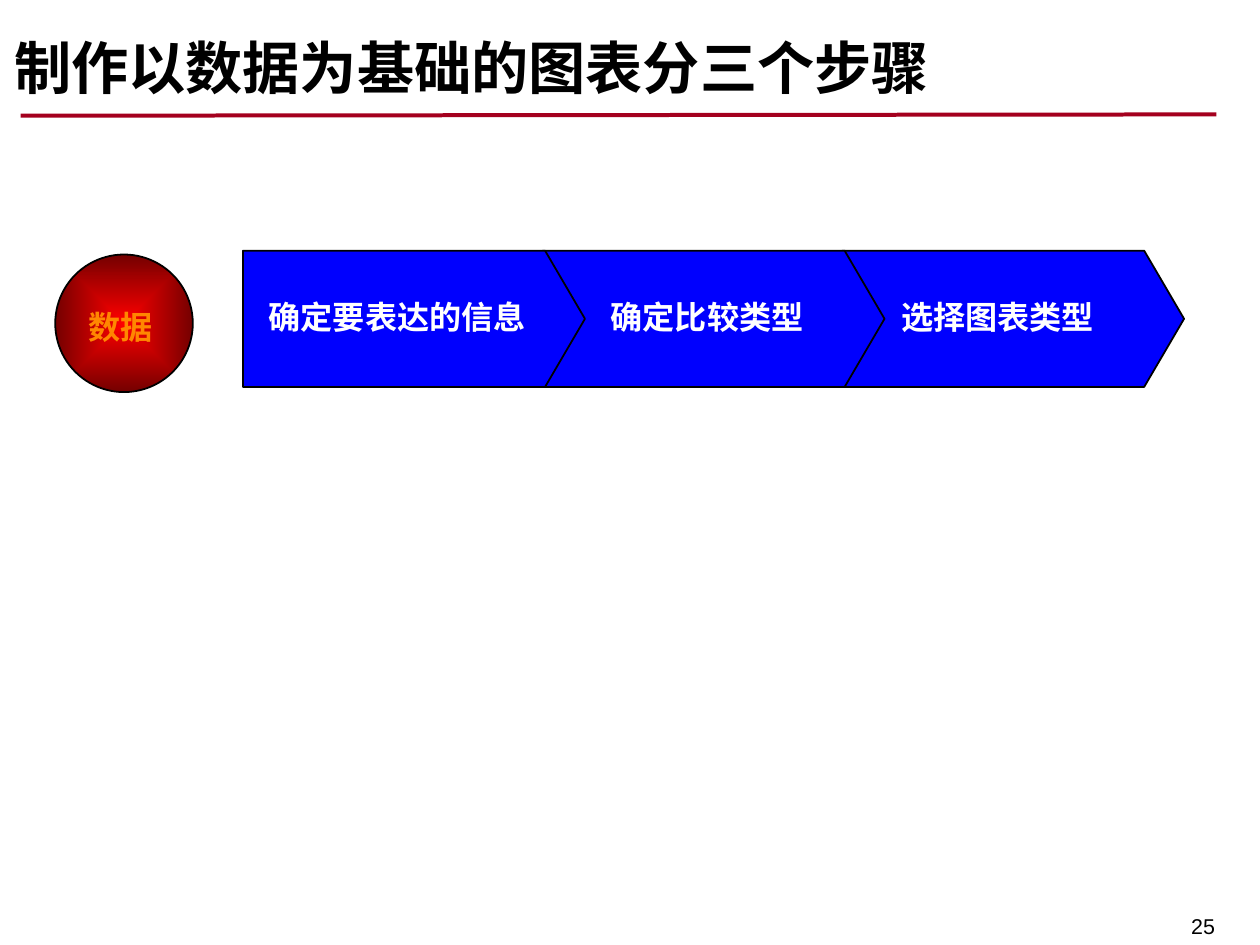
from lxml.etree import SubElement
from pptx import Presentation
from pptx.dml.color import RGBColor
from pptx.enum.shapes import MSO_CONNECTOR, MSO_SHAPE
from pptx.enum.text import PP_ALIGN
from pptx.oxml.ns import qn
from pptx.util import Inches, Pt

TITLE = "制作以数据为基础的图表分三个步骤"
SOURCE = "数据"
STEPS = [
    ("确定要表达的信息", 0.2),
    ("确定比较类型", 0.53),
    ("选择图表类型", 0.46),
]
PAGE_NUMBER = "25"


class Theme:
    font = "Arial"
    title_size, label_size, page_size = Pt(32), Pt(18), Pt(12)
    outline_width, rule_width = Pt(1), Pt(2.25)
    black = RGBColor.from_string("000000")
    white = RGBColor.from_string("FFFFFF")
    rule = RGBColor.from_string("A4001E")
    step = RGBColor.from_string("0000FE")
    source_text = RGBColor.from_string("FF8700")
    source_center = RGBColor.from_string("FF0000")
    source_edge = RGBColor.from_string("750000")


STEP_LEFT, STEP_TOP, STEP_PITCH = 1.89, 1.95, 2.33
STEP_WIDTH, STEP_HEIGHT, STEP_POINT = 2.66, 1.06, 0.31
LABEL_TOP, LABEL_HEIGHT = 2.31, 0.3


def add_label(slide, text, box, size, color, bold=True, align=PP_ALIGN.LEFT):
    frame = slide.shapes.add_textbox(*map(Inches, box)).text_frame
    frame.margin_left = frame.margin_right = 0
    frame.margin_top = frame.margin_bottom = 0
    frame.word_wrap = True
    line = frame.paragraphs[0]
    line.text = text
    line.alignment = align
    line.font.name = Theme.font
    line.font.size = size
    line.font.bold = bold
    line.font.color.rgb = color


def add_outlined(slide, kind, box):
    shape = slide.shapes.add_shape(kind, *map(Inches, box))
    shape.shadow.inherit = False
    shape.line.color.rgb = Theme.black
    shape.line.width = Theme.outline_width
    return shape


def add_rule(slide):
    rule = slide.shapes.add_connector(
        MSO_CONNECTOR.STRAIGHT, Inches(0.16), Inches(0.9), Inches(9.46), Inches(0.89)
    )
    rule.line.color.rgb = Theme.rule
    rule.line.width = Theme.rule_width
    SubElement(rule._element.spPr, qn("a:effectLst"))


def add_source(slide):
    circle = add_outlined(slide, MSO_SHAPE.OVAL, (0.43, 1.98, 1.07, 1.07))
    circle.fill.gradient()
    center, edge = circle.fill.gradient_stops
    center.color.rgb, center.position = Theme.source_center, 0
    edge.color.rgb, edge.position = Theme.source_edge, 1
    gradient = circle._element.spPr.find(qn("a:gradFill"))
    gradient.remove(gradient.find(qn("a:lin")))
    glow = SubElement(gradient, qn("a:path"), {"path": "rect"})
    sides = dict.fromkeys("ltrb", "50000")
    gradient.find(qn("a:gsLst")).addnext(glow)
    SubElement(glow, qn("a:fillToRect"), sides)
    add_label(slide, SOURCE, (0.69, 2.39, 0.59, 0.3), Theme.label_size, Theme.source_text)


def add_steps(slide):
    lefts = [STEP_LEFT + i * STEP_PITCH for i in range(len(STEPS))]
    for left in reversed(lefts):
        arrow = add_outlined(
            slide, MSO_SHAPE.PENTAGON, (left, STEP_TOP, STEP_WIDTH, STEP_HEIGHT)
        )
        arrow.adjustments[0] = STEP_POINT / STEP_HEIGHT
        arrow.fill.solid()
        arrow.fill.fore_color.rgb = Theme.step
    for left, (label, indent) in zip(lefts, STEPS):
        box = (left + indent, LABEL_TOP, 2.1, LABEL_HEIGHT)
        add_label(slide, label, box, Theme.label_size, Theme.white)


def main():
    deck = Presentation()
    deck.slide_width, deck.slide_height = Inches(9.8), Inches(7.35)
    slide = deck.slides.add_slide(deck.slide_layouts[6])
    add_rule(slide)
    add_label(slide, TITLE, (0.11, 0.25, 9.51, 0.53), Theme.title_size, Theme.black)
    add_source(slide)
    add_steps(slide)
    add_label(
        slide, PAGE_NUMBER, (7.61, 7.1, 1.84, 0.2), Theme.page_size, Theme.black,
        bold=False, align=PP_ALIGN.RIGHT,
    )
    deck.save("out.pptx")


if __name__ == "__main__":
    main()
